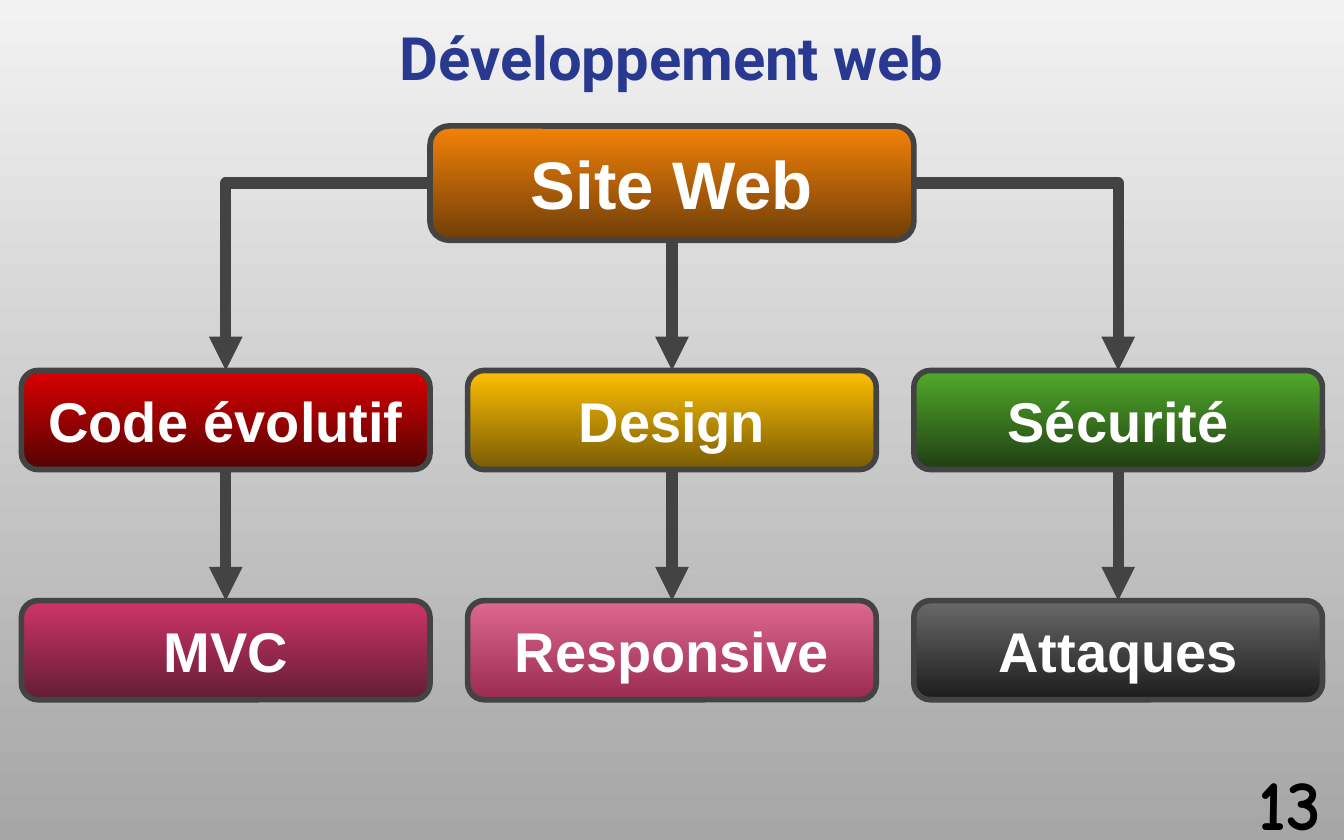
from dataclasses import dataclass

from lxml import etree
from pptx import Presentation
from pptx.dml.color import RGBColor
from pptx.enum.shapes import MSO_CONNECTOR, MSO_SHAPE
from pptx.enum.text import MSO_ANCHOR, MSO_AUTO_SIZE, PP_ALIGN
from pptx.oxml.ns import qn
from pptx.util import Inches, Pt

STRAIGHT, ELBOW = MSO_CONNECTOR.STRAIGHT, MSO_CONNECTOR.ELBOW
ROUNDED = MSO_SHAPE.ROUNDED_RECTANGLE
TOP, MIDDLE = MSO_ANCHOR.TOP, MSO_ANCHOR.MIDDLE
CENTER = PP_ALIGN.CENTER
NO_FIT = MSO_AUTO_SIZE.NONE
SITE_TOP, SITE_LEFT, SITE_BOTTOM, SITE_RIGHT = range(4)
TITLE_ONLY = 5


@dataclass(frozen=True)
class Theme:
    # Font, size and colour of each kind of text
    title: tuple = ("Roboto", 32, "2A3990")
    root: tuple = ("Arial", 36, "FFFFFF")
    node: tuple = ("Arial", 30, "FFFFFF")
    number: tuple = ("Comic Neue", 38, "000000")
    # Colours as top and bottom of a gradient
    background: tuple = ("F2F2F2", "A6A6A6")
    orange: tuple = ("F48208", "703E08")
    red: tuple = ("DB0000", "540303")
    yellow: tuple = ("FFC002", "795B04")
    green: tuple = ("51AB2A", "203E13")
    raspberry: tuple = ("CF3468", "631D35")
    pink: tuple = ("DE6990", "9A2B50")
    gray: tuple = ("696969", "1D1D1D")
    # Lines
    line: str = "434343"
    outline: float = 3
    arrow: float = 6
    inset: float = 0.1


class SlideBuilder:
    """Draws styled elements; places are percentages of the slide's size."""

    def __init__(self, deck, theme):
        self.deck, self.theme = deck, theme
        self.page = deck.slides.add_slide(deck.slide_layouts[TITLE_ONLY])
        self.gradient(self.page.background.fill, theme.background)

    def frame(self, left, top, width, height):
        across, down = self.deck.slide_width / 100, self.deck.slide_height / 100
        return [round(share) for share in
                (left * across, top * down, width * across, height * down)]

    def gradient(self, fill, colors):
        fill.gradient()
        fill.gradient_angle = 270
        for stop, color in zip(fill.gradient_stops, colors):
            stop.color.rgb = RGBColor.from_string(color)

    def set_text(self, box, text, style, anchor=MIDDLE):
        text_frame = box.text_frame
        text_frame.text = text
        text_frame.word_wrap = True
        text_frame.auto_size = NO_FIT
        text_frame.vertical_anchor = anchor
        text_frame.margin_left = text_frame.margin_right = Inches(self.theme.inset)
        text_frame.margin_top = text_frame.margin_bottom = Inches(self.theme.inset)
        para = text_frame.paragraphs[0]
        para.alignment = CENTER
        name, size, color = style
        para.font.name, para.font.size, para.font.bold = name, Pt(size), True
        para.font.color.rgb = RGBColor.from_string(color)

    def title(self, text, place):
        box = self.page.shapes.title
        box.left, box.top, box.width, box.height = self.frame(*place)
        self.set_text(box, text, self.theme.title)

    def label(self, text, place, style):
        box = self.page.shapes.add_textbox(*self.frame(*place))
        self.set_text(box, text, style, TOP)

    def node(self, text, place, colors, style):
        box = self.page.shapes.add_shape(ROUNDED, *self.frame(*place))
        box.shadow.inherit = False
        self.gradient(box.fill, colors)
        box.line.color.rgb = RGBColor.from_string(self.theme.line)
        box.line.width = Pt(self.theme.outline)
        self.set_text(box, text, style)
        return box

    def arrow(self, source, target, site=SITE_BOTTOM):
        kind = STRAIGHT if site == SITE_BOTTOM else ELBOW
        connector = self.page.shapes.add_connector(kind, 0, 0, 0, 0)
        connector.begin_connect(source, site)
        connector.end_connect(target, SITE_TOP)
        connector.line.color.rgb = RGBColor.from_string(self.theme.line)
        connector.line.width = Pt(self.theme.arrow)
        properties = connector._element.spPr
        if kind == ELBOW:  # a single corner
            properties.find(qn("a:prstGeom")).set("prst", "bentConnector2")
        etree.SubElement(properties.find(qn("a:ln")), qn("a:tailEnd"), type="triangle")
        etree.SubElement(properties, qn("a:effectLst"))


def main():
    theme = Theme()
    deck = Presentation()
    deck.slide_width, deck.slide_height = Inches(10), Inches(6.25)
    slide = SlideBuilder(deck, theme)
    slide.title("Développement web", (3.4, 0.8, 93.2, 11.8))

    # Root of the tree
    root = slide.node("Site Web", (32, 15, 36, 13.6), theme.orange, theme.root)

    # One branch per column: topic, then its detail
    margin, width, gap = 1.6, 30.4, 2.8
    first_row, row_step, height = 44.1, 27.4, 11.8
    branches = [
        (SITE_LEFT, ("Code évolutif", theme.red), ("MVC", theme.raspberry)),
        (SITE_BOTTOM, ("Design", theme.yellow), ("Responsive", theme.pink)),
        (SITE_RIGHT, ("Sécurité", theme.green), ("Attaques", theme.gray)),
    ]
    for column, (site, *steps) in enumerate(branches):
        left = margin + column * (width + gap)
        parent = root
        for row, (text, colors) in enumerate(steps):
            place = (left, first_row + row * row_step, width, height)
            box = slide.node(text, place, colors, theme.node)
            slide.arrow(parent, box, SITE_BOTTOM if row else site)
            parent = box

    # Page number
    slide.label("13", (91.9, 88.8, 8.1, 11.2), theme.number)
    deck.save("out.pptx")


if __name__ == "__main__":
    main()
